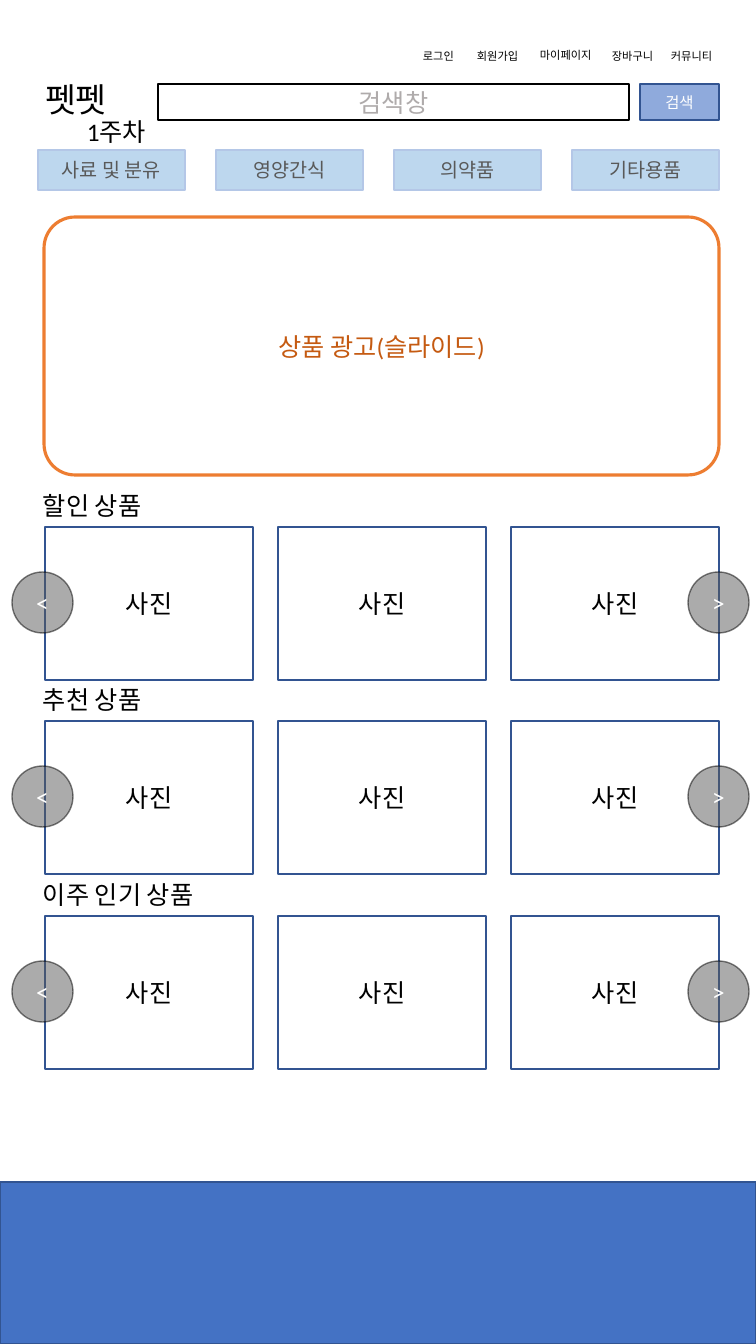
from pptx import Presentation, util as u
from pptx.dml.color import RGBColor
from pptx.enum import shapes, text
from pptx.oxml import parse_xml
from pptx.oxml.ns import nsdecls

# Content; menu entries are (label, left, top, width)
TITLE = "펫펫"
WEEK = "1주차"
MENU = [("로그인", 413, 44, 56), ("회원가입", 467, 44, 70), ("마이페이지", 530, 43, 77),
        ("장바구니", 602, 44, 70), ("커뮤니티", 661, 44, 70)]
SEARCH, SEARCH_BUTTON = "검색창", "검색"
CATEGORIES = ["사료 및 분유", "영양간식", "의약품", "기타용품"]
AD = "상품 광고(슬라이드)"
SECTIONS = [("할인 상품", 527), ("추천 상품", 721), ("이주 인기 상품", 916)]
PHOTO, PHOTOS_PER_ROW = "사진", 3
ARROWS = [("<", 12), (">", 688)]


class Theme:
    font, title_font = "Calibri", "Noto Sans CJK KR"
    menu, button, category, body, title = 8, 11, 14, 18, 24
    black, white, gray, hint = "000000", "FFFFFF", "595959", "AFABAB"
    navy, blue, button_fill = "325491", "4472C4", "8FAADC"
    category_fill, category_line = "BDD7EE", "B4C7E7"
    orange, dark_orange = "ED7D31", "C55A11"


# Pixel geometry
PX = 914400 / 100.8
SLIDE_W, SLIDE_H = 756, 1344
CARD_LEFT, CARD_PITCH, CARD_W, CARD_H = 45, 233, 208, 153
CATEGORY_LEFT, CATEGORY_PITCH = 38, 178
HEADING_RISE, ARROW_DROP, ARROW_SIZE = 42, 45, 61


def emu(*pixels):
    return [round(v * PX) for v in pixels]


def write(sp, words, size, color, align, font=Theme.font):
    tf = sp.text_frame
    tf.text = words
    tf.word_wrap = True
    p = tf.paragraphs[0]
    p.alignment = align
    p.font.name, p.font.size = font, u.Pt(size)
    p.font.color.rgb = RGBColor.from_string(color)
    return tf


def label(words, box, size=Theme.body):
    sp = s.shapes.add_textbox(*emu(*box))
    tf = write(sp, words, size, Theme.black, text.PP_ALIGN.LEFT)
    tf.auto_size = text.MSO_AUTO_SIZE.SHAPE_TO_FIT_TEXT


def set_alpha(fill, percent):
    color = fill._xPr.find(".//{*}solidFill/{*}srgbClr")
    color.append(parse_xml(f'<a:alpha {nsdecls("a")} val="{percent * 1000}"/>'))


def box(words, place, line, fill=None, size=Theme.body, color=Theme.black,
        kind=shapes.MSO_SHAPE.RECTANGLE, weight=1, alpha=None):
    sp = s.shapes.add_shape(kind, *emu(*place))
    sp.shadow.inherit = False
    sp.line.color.rgb = RGBColor.from_string(line)
    sp.line.width = u.Pt(weight)
    if fill:
        sp.fill.solid()
        sp.fill.fore_color.rgb = RGBColor.from_string(fill)
    else:
        sp.fill.background()
    if alpha:
        set_alpha(sp.fill, alpha)
        set_alpha(sp.line.fill, alpha)
    if words:
        tf = write(sp, words, size, color, text.PP_ALIGN.CENTER)
        tf.vertical_anchor = text.MSO_ANCHOR.MIDDLE
    return sp


prs = Presentation()
prs.slide_width, prs.slide_height = emu(SLIDE_W, SLIDE_H)
s = prs.slides.add_slide(prs.slide_layouts[5])

# Site name and week
title = s.shapes.title
title.left, title.top, title.width, title.height = emu(35, 74, 208, 50)
tf = write(title, TITLE, Theme.title, Theme.black, text.PP_ALIGN.LEFT, Theme.title_font)
tf.vertical_anchor = text.MSO_ANCHOR.TOP
tf.auto_size = text.MSO_AUTO_SIZE.NONE
label(WEEK, (77, 111, 262, 40))

# Top menu
for name, left, top, width in MENU:
    label(name, (left, top, width, 24), Theme.menu)

# Search bar
box(SEARCH, (158, 84, 471, 36), Theme.black, color=Theme.hint)
box(SEARCH_BUTTON, (640, 84, 79, 36), Theme.navy, Theme.button_fill,
    Theme.button, Theme.white)

# Categories
for i, name in enumerate(CATEGORIES):
    box(name, (CATEGORY_LEFT + i * CATEGORY_PITCH, 150, 147, 40), Theme.category_line,
        Theme.category_fill, Theme.category, Theme.gray)

# Advertisement
ad = box(AD, (44, 217, 675, 258), Theme.orange, color=Theme.dark_orange,
         kind=shapes.MSO_SHAPE.ROUNDED_RECTANGLE, weight=2.25)
ad.adjustments[0] = 0.12

# Product rows
for heading, top in SECTIONS:
    label(heading, (33, top - HEADING_RISE, 210, 40))
    for i in range(PHOTOS_PER_ROW):
        box(PHOTO, (CARD_LEFT + i * CARD_PITCH, top, CARD_W, CARD_H), Theme.navy)
    for sign, left in ARROWS:
        box(sign, (left, top + ARROW_DROP, ARROW_SIZE, ARROW_SIZE), Theme.black,
            Theme.gray, color=Theme.white, kind=shapes.MSO_SHAPE.OVAL, alpha=50)

# Footer
box("", (0, 1182, SLIDE_W, 162), Theme.navy, Theme.blue)

prs.save("out.pptx")
